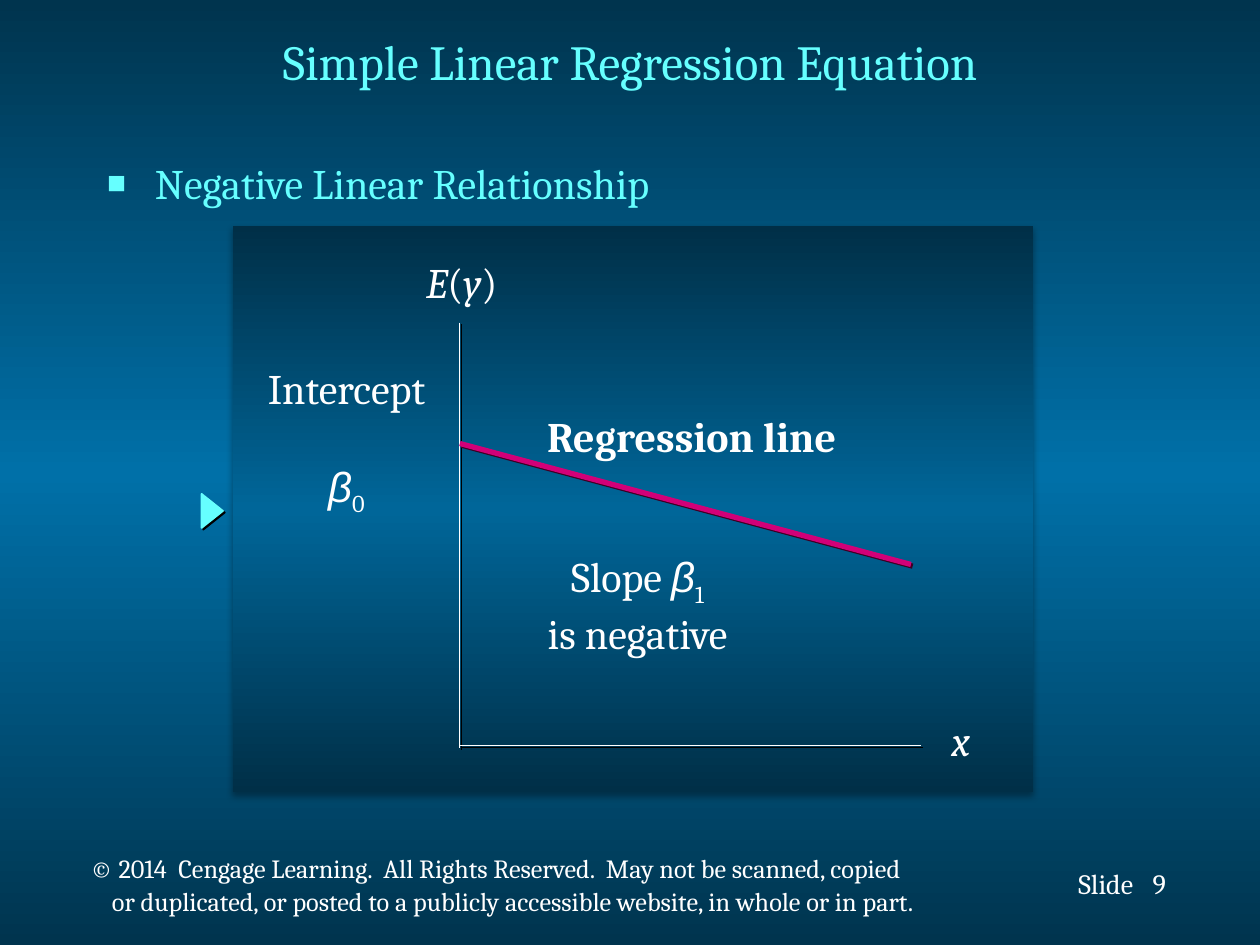
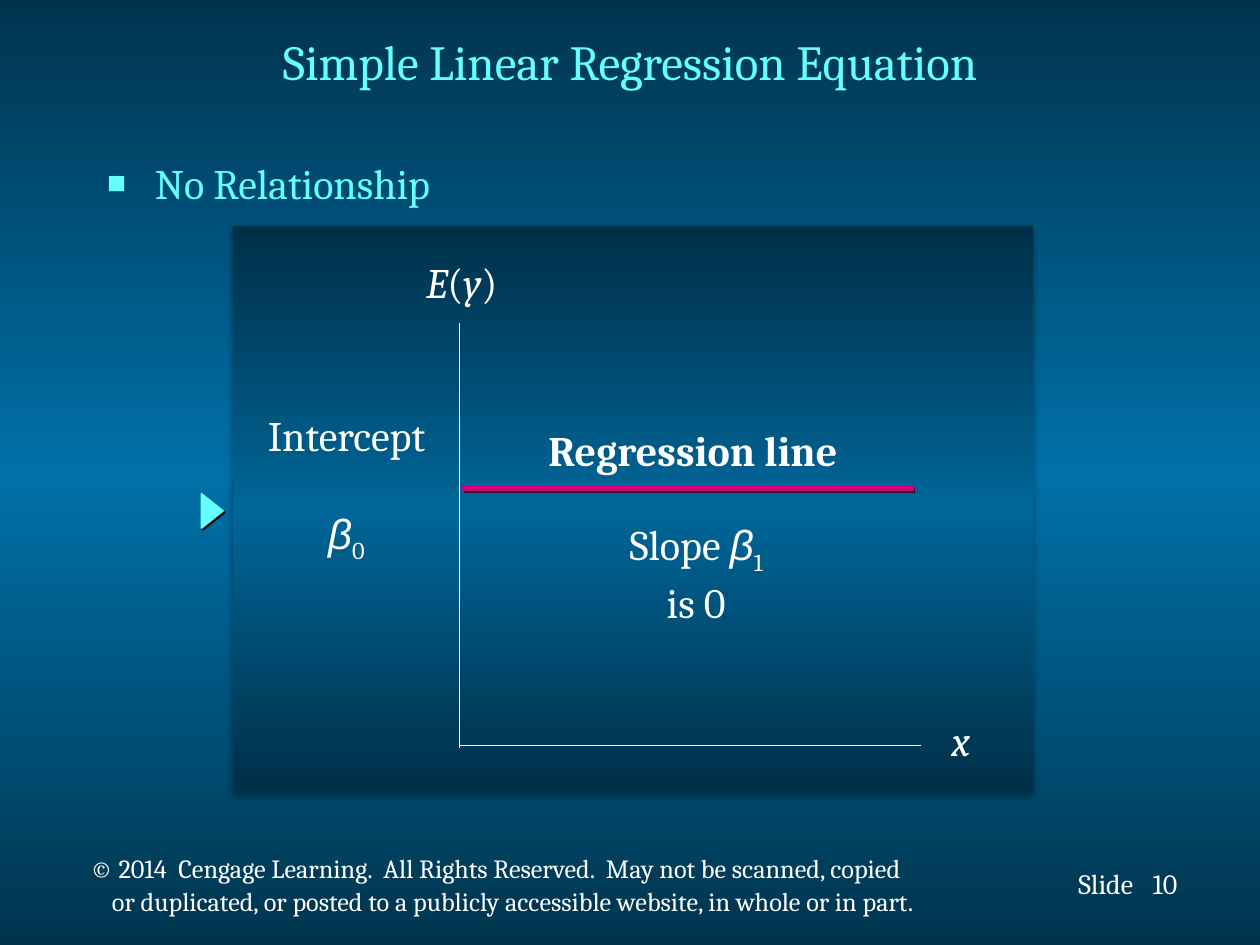
from lxml import etree
from pptx import Presentation
from pptx.dml.color import RGBColor
from pptx.enum.shapes import MSO_CONNECTOR as CONNECTOR, MSO_SHAPE as SHAPE
from pptx.enum.text import MSO_ANCHOR as ANCHOR, MSO_AUTO_SIZE as AUTO_SIZE, PP_ALIGN as ALIGN
from pptx.oxml.ns import qn
from pptx.util import Inches, Pt

WHITE, AQUA, MAGENTA, BLACK = "FFFFFF", "66FFFF", "D20078", "000000"
PAGE_GRADIENT = ("00344E", "0070A8")
PANEL_GRADIENT = ("002F47", "006699")
HARD_SHADOW = {"alpha": 100, "blur": 0, "distance": 1.4, "angle": 45}
SOFT_SHADOW = {"alpha": 32, "blur": 3.5, "distance": 2.2, "angle": 90}

PLAIN = {"name": "Cambria", "size": Pt(24), "bold": False, "italic": False}
ITALIC = PLAIN | {"italic": True}
BOLD = PLAIN | {"bold": True}
GREEK = ITALIC | {"name": "Arial"}
TITLE = PLAIN | {"size": Pt(28)}
FOOTER = PLAIN | {"size": Pt(16)}
COPYRIGHT = PLAIN | {"size": Pt(15)}

TITLE_BOX = (0.75, 0.04, 8.5, 0.89)
TOPIC_BOX = (0.75, 1.2, 8.5, 0.68)
PANEL_BOX = (1.85, 1.79, 6.35, 4.5)
FOOTER_BOX = (0.62, 6.74, 8.94, 0.6)

GRAPHS = [
    {
        "number": "9",
        "topic": "Negative Linear Relationship",
        "line": (1.8, 1.73, 5.38, 2.69),
        "line_label": (2.36, 1.42, 2.56, 0.5),
        "slope": "is negative",
        "slope_label": (2.32, 2.53, 1.78, 0.9),
        "intercept_label": (0.11, 1.04, 1.58, 1.28),
        "axis_shadow": True,
    },
    {
        "number": "10",
        "topic": "No Relationship",
        "line": (1.82, 2.09, 5.4, 2.09),
        "line_label": (2.37, 1.53, 2.56, 0.5),
        "slope": "is 0",
        "slope_label": (2.98, 2.28, 1.39, 0.9),
        "intercept_label": (0.11, 1.41, 1.58, 1.28),
        "axis_shadow": False,
    },
]


def colour(value):
    return RGBColor.from_string(value)


def inside(box, part):
    return (box[0] + part[0], box[1] + part[1], *part[2:])


def lengths(values):
    return [Inches(value) for value in values]


def shadow_effect(value, alpha, blur, distance, angle):
    effects = etree.Element(qn("a:effectLst"))
    shadow = etree.SubElement(
        effects, qn("a:outerShdw"), blurRad=str(Pt(blur)), dist=str(Pt(distance)),
        dir=str(angle * 60000), algn="ctr", rotWithShape="0")
    tint = etree.SubElement(shadow, qn("a:srgbClr"), val=value)
    etree.SubElement(tint, qn("a:alpha"), val=str(alpha * 1000))
    return effects


def paint_gradient(parent, fill, edge, middle):
    fill.solid()
    gradient = etree.Element(qn("a:gradFill"), rotWithShape="1")
    stops = etree.SubElement(gradient, qn("a:gsLst"))
    for position, value in ((0, edge), (50, middle), (100, edge)):
        stop = etree.SubElement(stops, qn("a:gs"), pos=str(position * 1000))
        etree.SubElement(stop, qn("a:srgbClr"), val=value)
    etree.SubElement(gradient, qn("a:lin"), ang="5400000", scaled="1")
    parent.replace(parent.find(qn("a:solidFill")), gradient)


def add_span(para, text, style, value=WHITE, subscript=False, shadow=False):
    span = para.add_run()
    span.text = text
    for name, setting in style.items():
        setattr(span.font, name, setting)
    span.font.color.rgb = colour(value)
    properties = span._r.get_or_add_rPr()
    if subscript:
        properties.set("baseline", "-25000")
    if shadow:
        properties.find(qn("a:solidFill")).addnext(shadow_effect(BLACK, **HARD_SHADOW))


def add_label(page, box, rows, align=ALIGN.CENTER, gap=0, shadow=False):
    label = page.shapes.add_textbox(*lengths(box))
    frame = label.text_frame
    frame.word_wrap = False
    for index, row in enumerate(rows):
        para = frame.add_paragraph() if index else frame.paragraphs[0]
        para.alignment = align
        if index and gap:
            para.space_before = Pt(gap)
        for text, style, *subscript in row:
            add_span(para, text, style, subscript=bool(subscript), shadow=shadow)
    return frame


def add_line(page, box, ends, value, width, shadow=None):
    start, finish = inside(box, ends[:2]), inside(box, ends[2:])
    line = page.shapes.add_connector(CONNECTOR.STRAIGHT, *lengths(start + finish))
    line.line.color.rgb = colour(value)
    line.line.width = Pt(width)
    effects = shadow_effect(shadow, **HARD_SHADOW) if shadow else etree.Element(qn("a:effectLst"))
    line._element.spPr.append(effects)


def place_text(holder, box, text, style, align, anchor):
    holder.left, holder.top, holder.width, holder.height = lengths(box)
    frame = holder.text_frame
    frame.auto_size = AUTO_SIZE.NONE
    frame.vertical_anchor = anchor
    para = frame.paragraphs[0]
    para.alignment = align
    para.space_before = Pt(0)
    add_span(para, text, style, AQUA)
    return para


def add_heading(page, topic):
    place_text(page.shapes.title, TITLE_BOX, "Simple Linear Regression Equation",
               TITLE, ALIGN.CENTER, ANCHOR.MIDDLE)
    para = place_text(page.placeholders[1], TOPIC_BOX, topic, PLAIN, ALIGN.LEFT, ANCHOR.TOP)
    properties = para._p.get_or_add_pPr()
    properties.set("marL", str(Inches(0.38)))
    properties.set("indent", str(-Inches(0.38)))
    bullet_colour = etree.SubElement(properties, qn("a:buClr"))
    etree.SubElement(bullet_colour, qn("a:srgbClr"), val=AQUA)
    etree.SubElement(properties, qn("a:buSzPct"), val="75000")
    etree.SubElement(properties, qn("a:buFont"), typeface="Arial")
    etree.SubElement(properties, qn("a:buChar"), char="■")


def add_footer(page, box, number):
    rows = [
        "© 2014  Cengage Learning.  All Rights Reserved.  May not be scanned, copied",
        "or duplicated, or posted to a publicly accessible website, in whole or in part.",
    ]
    frame = add_label(page, inside(box, (0, 0, 7.47, 0.6)),
                      [[(row, COPYRIGHT)] for row in rows], ALIGN.LEFT, gap=3)
    for para in frame.paragraphs:
        para.line_spacing = Pt(16)
    frame.paragraphs[1]._p.get_or_add_pPr().set("marL", str(Inches(0.17)))
    for text, left, width in (("Slide", 7.84, 0.65), (number, 8.43, 0.45)):
        add_label(page, inside(box, (left, 0.09, width, 0.37)), [[(text, FOOTER)]],
                  ALIGN.LEFT, shadow=True)


def add_graph(page, box, graph):
    panel = page.shapes.add_shape(SHAPE.RECTANGLE, *lengths(box))
    paint_gradient(panel._element.spPr, panel.fill, *PANEL_GRADIENT)
    panel.line.fill.background()
    panel._element.spPr.append(shadow_effect(BLACK, **SOFT_SHADOW))

    axis_shadow = BLACK if graph["axis_shadow"] else None
    for axis in ((1.8, 0.77, 1.8, 4.15), (5.46, 4.13, 1.8, 4.13)):
        add_line(page, box, axis, WHITE, 0.5, axis_shadow)
    add_line(page, box, graph["line"], MAGENTA, 3, "3C0023")

    add_label(page, inside(box, (1.42, 0.2, 0.79, 0.5)),
              [[("E", ITALIC), ("(", PLAIN), ("y", ITALIC), (")", PLAIN)]])
    add_label(page, inside(box, (5.59, 3.83, 0.37, 0.5)), [[("x", ITALIC)]])
    add_label(page, inside(box, graph["slope_label"]),
              [[("Slope ", PLAIN), ("β", GREEK), ("1", PLAIN, True)], [(graph["slope"], PLAIN)]])
    add_label(page, inside(box, graph["line_label"]), [[("Regression line", BOLD)]])
    add_label(page, inside(box, graph["intercept_label"]),
              [[("Intercept", PLAIN)], [("β", GREEK), ("0", PLAIN, True)]], gap=27)


def add_marker(page, box):
    marker = page.shapes.add_shape(
        SHAPE.ISOSCELES_TRIANGLE, *lengths(inside(box, (-0.3, 2.18, 0.27, 0.17))))
    marker.rotation = 90
    marker.fill.solid()
    marker.fill.fore_color.rgb = colour(AQUA)
    marker.line.color.rgb = colour(AQUA)
    marker.line.width = Pt(1)
    marker._element.spPr.append(shadow_effect(BLACK, **HARD_SHADOW))


def main():
    deck = Presentation()
    deck.slide_width, deck.slide_height = Inches(10), Inches(7.5)
    master = deck.slide_master
    fill = master.background.fill
    fill.solid()
    paint_gradient(master.element.find(".//" + qn("p:bgPr")), fill, *PAGE_GRADIENT)
    for graph in GRAPHS:
        page = deck.slides.add_slide(deck.slide_layouts[1])
        add_footer(page, FOOTER_BOX, graph["number"])
        add_heading(page, graph["topic"])
        add_graph(page, PANEL_BOX, graph)
        add_marker(page, PANEL_BOX)
    deck.save("out.pptx")


if __name__ == "__main__":
    main()
